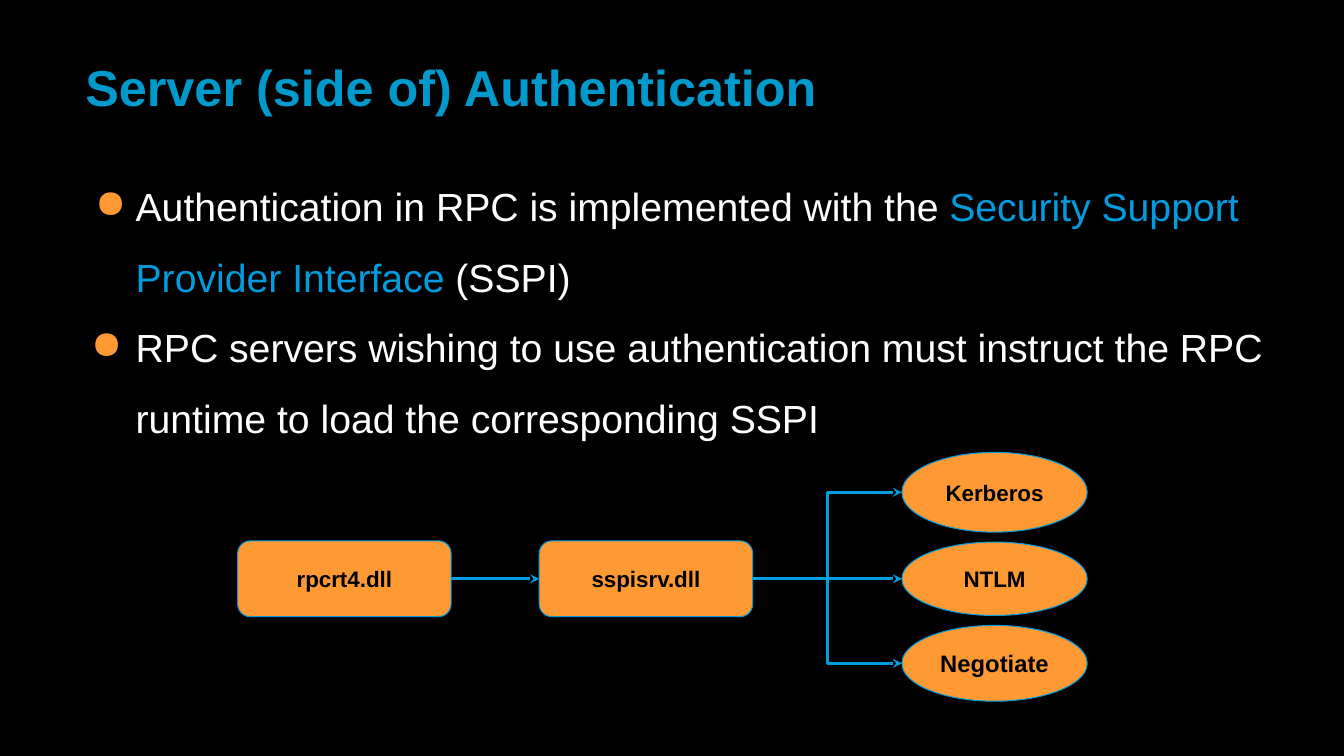
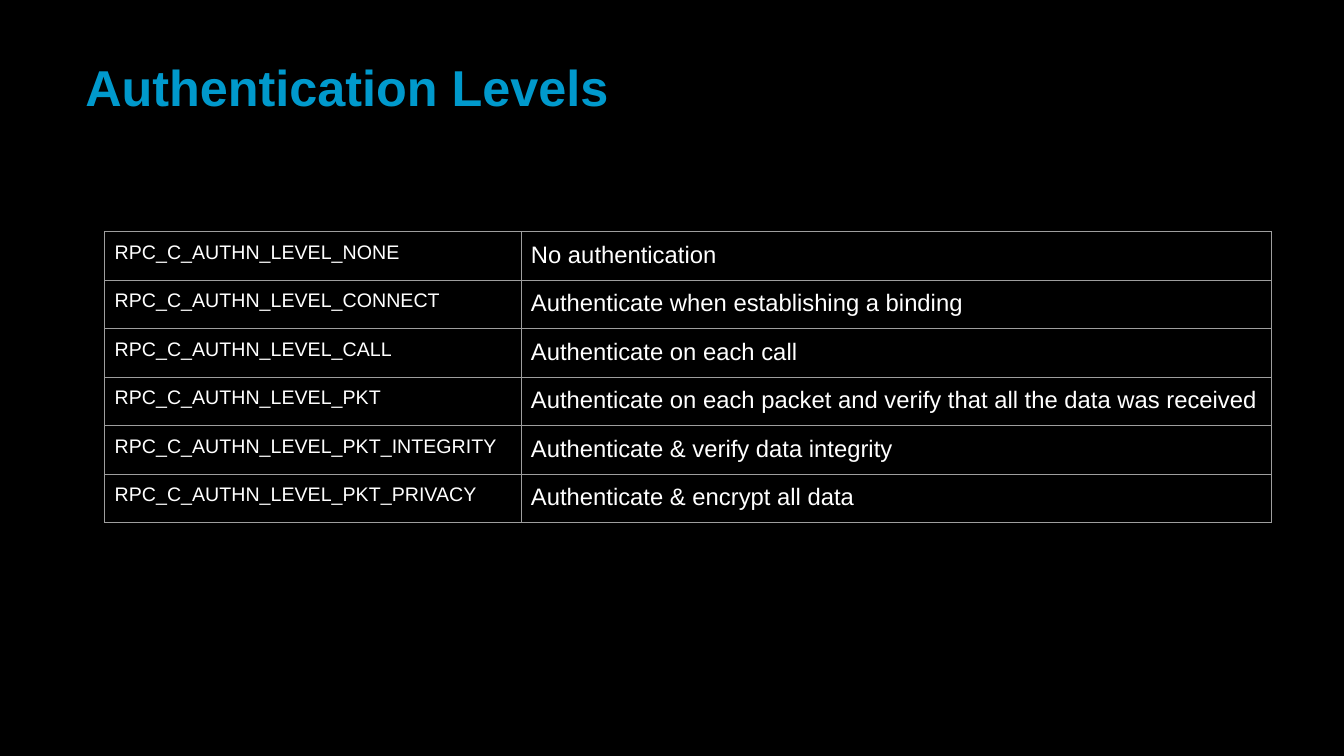
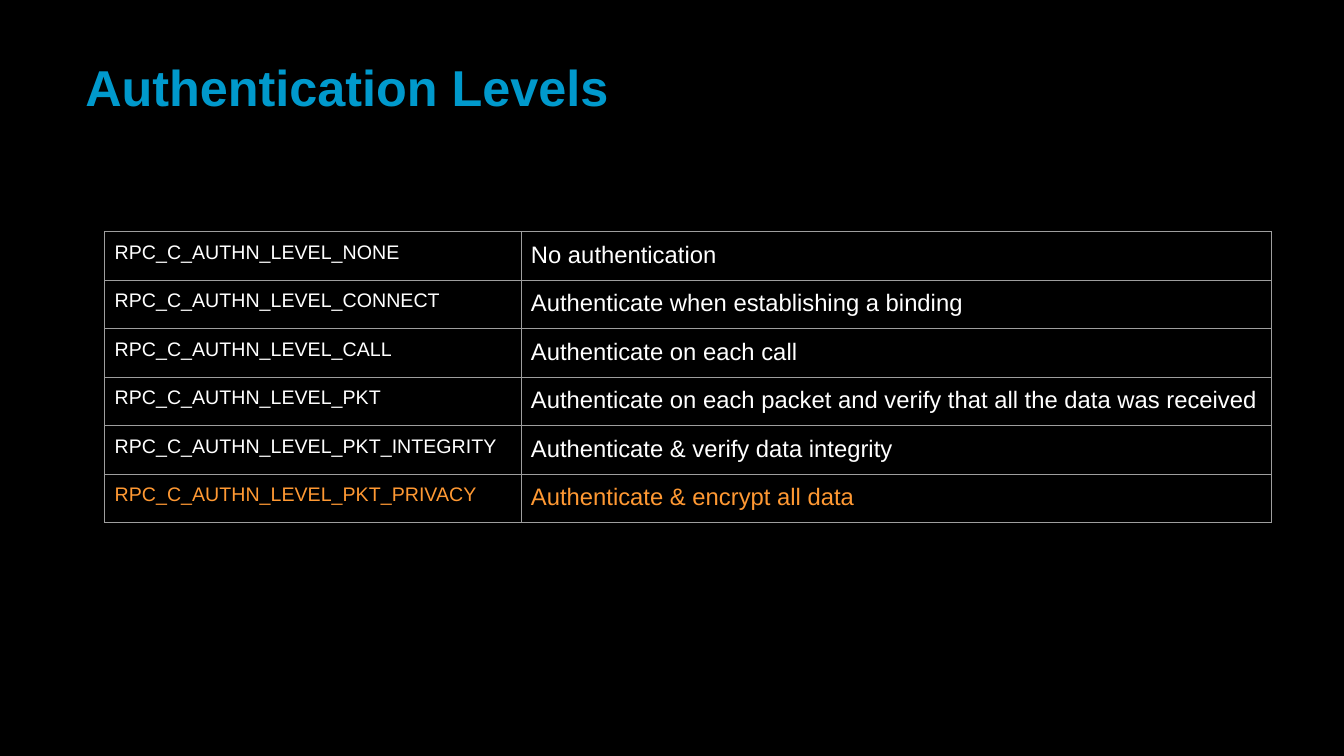
from lxml import etree
from pptx import Presentation, util as u
from pptx.dml.color import RGBColor
from pptx.enum import shapes, text
from pptx.oxml.ns import qn

COLORS = {
    "background": "000000",
    "title": "0099CC",
    "accent": "009CDE",
    "highlight": "FF9933",
    "body": "FFFFFF",
    "label": "000000",
    "border": "9E9E9E",
}
FONT = "Arial"
INSET = 0.25
LEFT, CONTENT_WIDTH = 1.9, 30.91

LEVELS = [
    ("RPC_C_AUTHN_LEVEL_NONE", "No authentication"),
    ("RPC_C_AUTHN_LEVEL_CONNECT", "Authenticate when establishing a binding"),
    ("RPC_C_AUTHN_LEVEL_CALL", "Authenticate on each call"),
    ("RPC_C_AUTHN_LEVEL_PKT",
     "Authenticate on each packet and verify that all the data was received"),
    ("RPC_C_AUTHN_LEVEL_PKT_INTEGRITY", "Authenticate & verify data integrity"),
    ("RPC_C_AUTHN_LEVEL_PKT_PRIVACY", "Authenticate & encrypt all data"),
]


def rgb(name):
    return RGBColor.from_string(COLORS[name])


def add_child(parent, tag, **attributes):
    return etree.SubElement(parent, qn(tag), attributes)


def add_run(paragraph, content, size=28, color="body", bold=False):
    run = paragraph.add_run()
    run.text = content
    run.font.name = FONT
    run.font.size = u.Pt(size)
    run.font.bold = bold
    run.font.color.rgb = rgb(color)


def set_frame(frame, anchor=text.MSO_ANCHOR.MIDDLE):
    frame.word_wrap = True
    frame.vertical_anchor = anchor
    frame.margin_left = frame.margin_right = u.Cm(INSET)
    frame.margin_top = frame.margin_bottom = u.Cm(INSET)


def add_text_box(slide, top, height, anchor):
    box = slide.shapes.add_textbox(
        u.Cm(LEFT), u.Cm(top), u.Cm(CONTENT_WIDTH), u.Cm(height))
    set_frame(box.text_frame, anchor)
    return box.text_frame


def add_slide(presentation, title):
    slide = presentation.slides.add_slide(presentation.slide_layouts[6])
    slide.background.fill.solid()
    slide.background.fill.fore_color.rgb = rgb("background")
    frame = add_text_box(slide, 1.55, 1.27, text.MSO_ANCHOR.MIDDLE)
    add_run(frame.paragraphs[0], title, size=36, color="title", bold=True)
    return slide


def format_bullet(paragraph, hanging):
    properties = paragraph._p.get_or_add_pPr()
    properties.set("marL", str(u.Cm(1.27)))
    properties.set("indent", str(-u.Cm(hanging)))
    bullet_color = add_child(properties, "a:buClr")
    add_child(bullet_color, "a:srgbClr", val=COLORS["highlight"])
    add_child(properties, "a:buChar", char="●")
    paragraph.line_spacing = 1.5


def add_bullets(slide, bullets):
    frame = add_text_box(slide, 3.75, 7.4, text.MSO_ANCHOR.TOP)
    for index, (hanging, runs) in enumerate(bullets):
        paragraph = frame.add_paragraph() if index else frame.paragraphs[0]
        format_bullet(paragraph, hanging)
        for content, color in runs:
            add_run(paragraph, content, color=color)


def add_node(slide, kind, label, left, top, width, height, size=16):
    shape = slide.shapes.add_shape(
        kind, u.Cm(left), u.Cm(top), u.Cm(width), u.Cm(height))
    shape.shadow.inherit = False
    shape.fill.solid()
    shape.fill.fore_color.rgb = rgb("highlight")
    shape.line.color.rgb = rgb("accent")
    shape.line.width = u.Pt(0.75)
    set_frame(shape.text_frame)
    paragraph = shape.text_frame.paragraphs[0]
    paragraph.alignment = text.PP_ALIGN.CENTER
    add_run(paragraph, label, size=size, color="label", bold=True)
    return shape


def add_arrow(slide, source, target, left_site, kind=shapes.MSO_CONNECTOR.STRAIGHT):
    end_y = target.top + target.height // 2
    connector = slide.shapes.add_connector(
        kind, source.left + source.width, source.top + source.height // 2,
        target.left, end_y)
    connector.begin_connect(source, 3)
    connector.end_connect(target, left_site)
    connector.end_x, connector.end_y = target.left, end_y
    connector.line.color.rgb = rgb("accent")
    connector.line.width = u.Pt(2.25)
    add_child(connector.line._get_or_add_ln(), "a:tailEnd", type="stealth")
    add_child(connector._element.spPr, "a:effectLst")


def add_provider_diagram(slide):
    top, gap = 11.4, 0.25
    providers = []
    for label, height, size in (
            ("Kerberos", 2.01, 16), ("NTLM", 1.85, 16), ("Negotiate", 1.91, 17)):
        providers.append(add_node(
            slide, shapes.MSO_SHAPE.OVAL, label, 22.73, top, 4.67, height, size))
        top += height + gap
    kerberos, ntlm, negotiate = providers

    library_height = 1.91
    library_top = (ntlm.top + ntlm.height / 2) / u.Cm(1) - library_height / 2
    runtime, security = [
        add_node(slide, shapes.MSO_SHAPE.ROUNDED_RECTANGLE, label,
                 left, library_top, 5.38, library_height)
        for label, left in (("rpcrt4.dll", 5.99), ("sspisrv.dll", 13.59))]

    add_arrow(slide, runtime, security, 1)
    add_arrow(slide, security, ntlm, 2)
    for provider in (kerberos, negotiate):
        add_arrow(slide, security, provider, 2, shapes.MSO_CONNECTOR.ELBOW)


def format_cell(cell):
    properties = cell._tc.get_or_add_tcPr()
    for side in ("a:lnL", "a:lnR", "a:lnT", "a:lnB"):
        line = add_child(properties, side, w=str(u.Pt(0.75)))
        add_child(add_child(line, "a:solidFill"), "a:srgbClr", val=COLORS["border"])
    cell.fill.background()
    cell.margin_left = cell.margin_right = u.Cm(INSET)
    cell.margin_top = cell.margin_bottom = u.Cm(INSET)


def add_level_table(slide, highlighted=None):
    widths, sizes, row_height = (10.49, 18.92), (14, 17), 1.18
    table = slide.shapes.add_table(
        len(LEVELS), len(widths), u.Cm(2.64), u.Cm(5.84),
        u.Cm(sum(widths)), u.Cm(row_height * len(LEVELS))).table
    table.first_row = table.horz_banding = False
    for column, width in zip(table.columns, widths):
        column.width = u.Cm(width)
    for row, level in zip(table.rows, LEVELS):
        color = "highlight" if level[0] == highlighted else "body"
        for cell, content, size in zip(row.cells, level, sizes):
            format_cell(cell)
            add_run(cell.text_frame.paragraphs[0], content, size=size, color=color)


def main():
    presentation = Presentation()
    presentation.slide_width, presentation.slide_height = u.Cm(33.87), u.Cm(19.05)

    slide = add_slide(presentation, "Server (side of) Authentication")
    add_bullets(slide, [
        (1.02, [("Authentication in RPC is implemented with the ", "body"),
                ("Security Support Provider Interface", "accent"),
                (" (SSPI)", "body")]),
        (1.12, [("RPC servers wishing to use authentication must instruct the RPC "
                 "runtime to load the corresponding SSPI", "body")]),
    ])
    add_provider_diagram(slide)

    for highlighted in (None, "RPC_C_AUTHN_LEVEL_PKT_PRIVACY"):
        slide = add_slide(presentation, "Authentication Levels")
        add_level_table(slide, highlighted)

    presentation.save("out.pptx")


if __name__ == "__main__":
    main()
